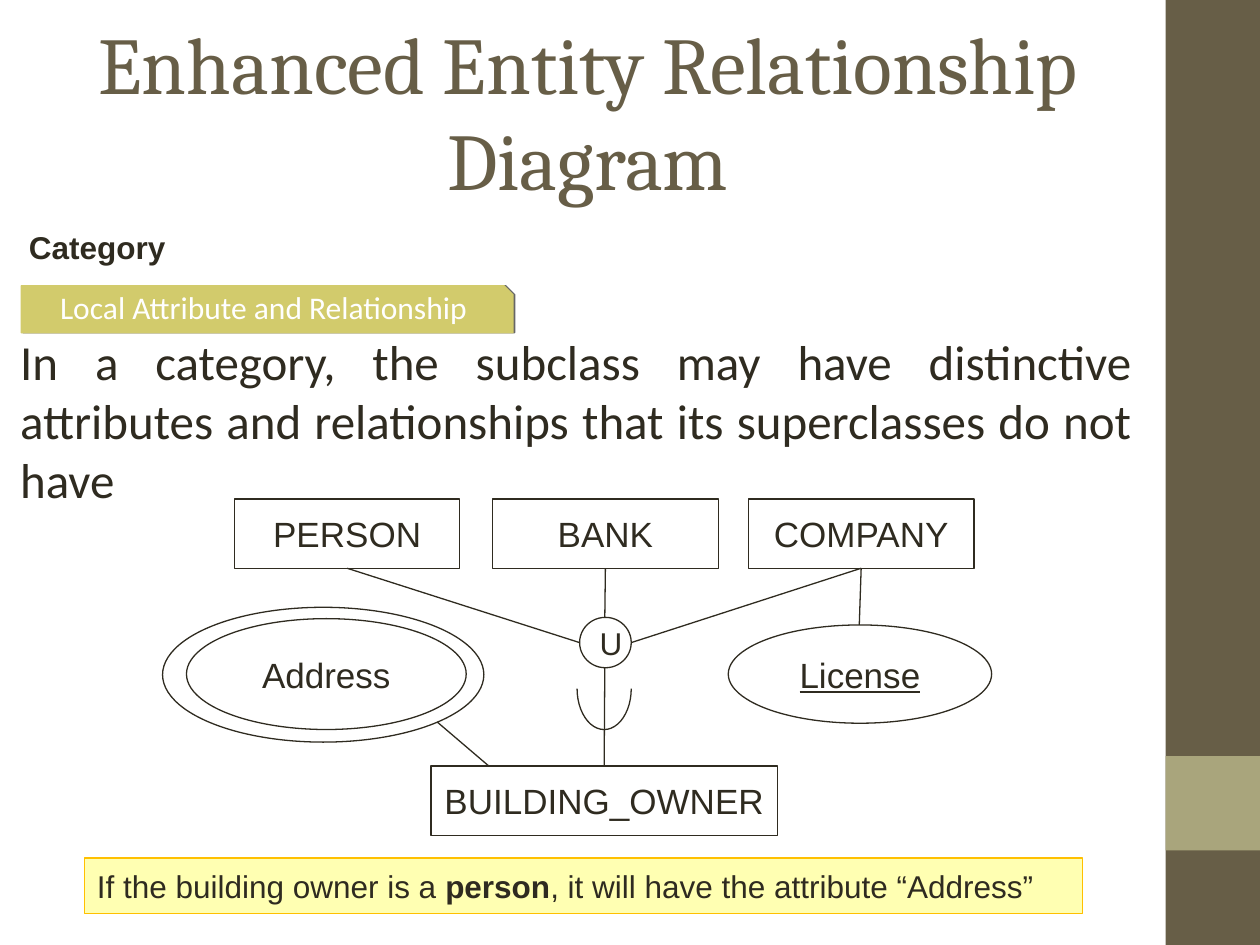
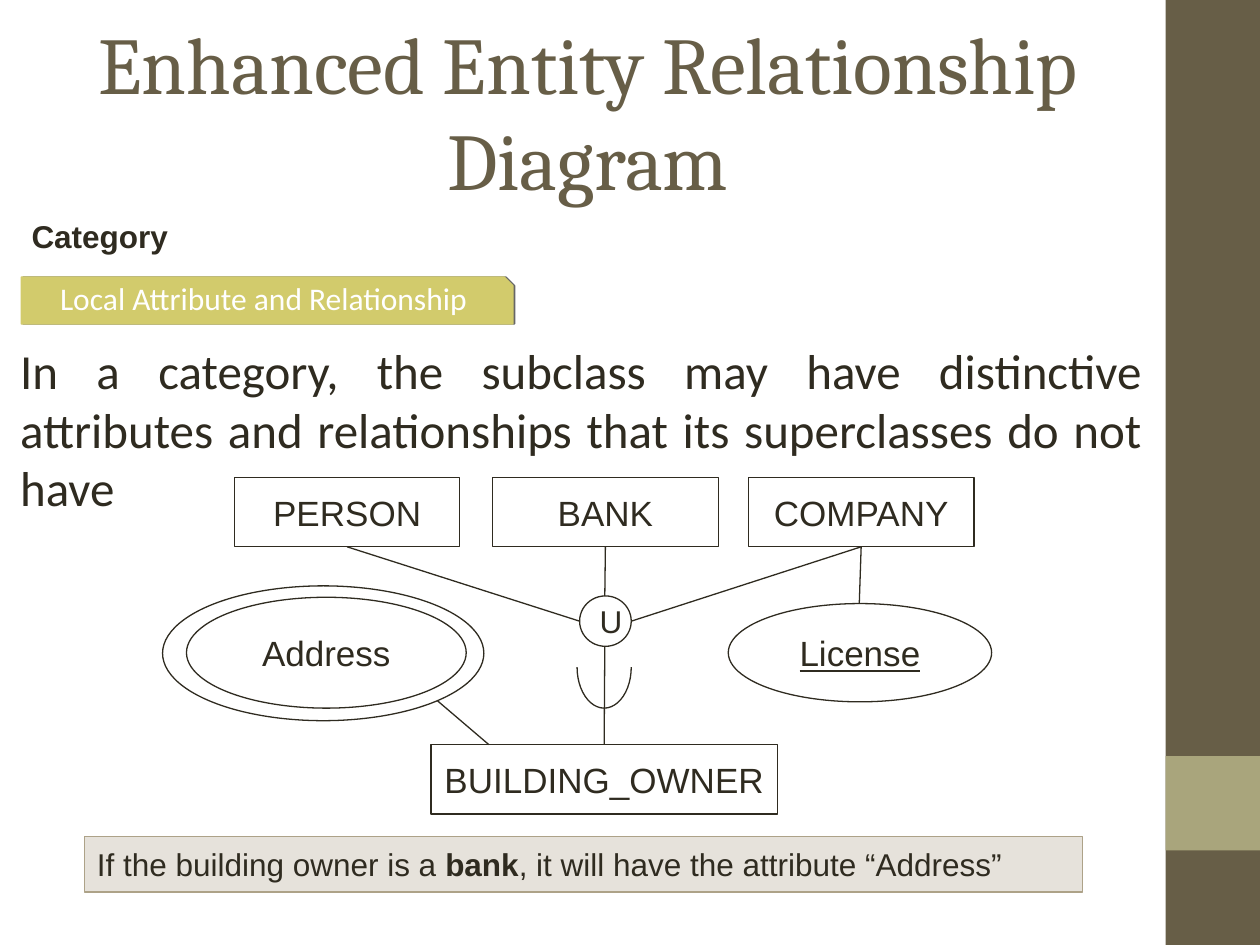
from dataclasses import dataclass
from typing import Optional

from lxml.etree import SubElement
from pptx import Presentation
from pptx.dml.color import RGBColor
from pptx.enum.shapes import MSO_CONNECTOR as Connector, MSO_SHAPE as Preset
from pptx.enum.text import MSO_ANCHOR as Anchor, MSO_AUTO_SIZE as AutoSize, PP_ALIGN as Align
from pptx.oxml.ns import qn
from pptx.util import Pt

PX = 9144


@dataclass(frozen=True)
class Theme:
    heading: str = "675E47"
    accent: str = "A9A57C"
    ink: str = "2F2B20"
    badge: str = "D2CB6C"
    white: str = "FFFFFF"
    title_font: str = "Cambria"
    body_font: str = "Calibri"
    label_font: str = "Arial"
    title_size: int = 46
    body_size: int = 28
    entity_size: int = 20
    small_size: int = 18
    hairline: float = 0.75


THEME = Theme()


@dataclass(frozen=True)
class Box:
    left: int
    top: int
    width: int
    height: int

    def emu(self) -> tuple:
        return tuple(value * PX for value in (self.left, self.top, self.width, self.height))


@dataclass(frozen=True)
class Style:
    font: str
    size: int
    color: str
    bold: bool = False
    underline: bool = False


@dataclass(frozen=True)
class Node:
    name: str
    preset: Preset
    box: Box
    size: int = THEME.entity_size
    align: Align = Align.CENTER
    wrap: bool = False
    underline: bool = False
    fill: Optional[str] = None


@dataclass(frozen=True)
class Link:
    start: tuple
    end: tuple
    start_node: str = ""
    end_node: str = ""


@dataclass(frozen=True)
class Page:
    category_left: int
    category_top: int
    badge_top: int
    body: Box
    lift: int
    owner: str
    note_fill: str
    note_line: str


TITLE = "Enhanced Entity Relationship Diagram"
CATEGORY = "Category"
BADGE = "Local Attribute and Relationship "
BODY = ("In a category, the subclass may have distinctive attributes and "
        "relationships that its superclasses do not have")

BANDS = ((Box(925, 0, 75, 750), THEME.heading), (Box(925, 600, 75, 75), THEME.accent))

NODES = (
    Node("Address", Preset.OVAL, Box(148, 491, 222, 88)),
    Node("", Preset.OVAL, Box(129, 482, 255, 107)),
    Node("BUILDING_OWNER", Preset.RECTANGLE, Box(342, 608, 275, 55)),
    Node("PERSON", Preset.RECTANGLE, Box(186, 396, 179, 55)),
    Node("COMPANY", Preset.RECTANGLE, Box(594, 396, 179, 55)),
    Node("BANK", Preset.RECTANGLE, Box(391, 396, 179, 55)),
    Node("U", Preset.OVAL, Box(460, 490, 41, 40), THEME.small_size, Align.LEFT,
         wrap=True, fill=THEME.white),
    Node("License", Preset.OVAL, Box(578, 496, 209, 78), underline=True),
)

LINKS = (
    Link((388, 608), (347, 573)),
    Link((480, 451), (480, 490), start_node="BANK"),
    Link((480, 530), (479, 608), end_node="BUILDING_OWNER"),
    Link((460, 510), (276, 451), end_node="PERSON"),
    Link((683, 451), (501, 510), start_node="COMPANY"),
    Link((683, 451), (682, 496), start_node="COMPANY"),
)

PAGES = (
    Page(15, 186, 227, Box(6, 258, 902, 118), 0, "person", "FFFF00", "FFC000"),
    Page(17, 177, 220, Box(6, 265, 910, 118), 17, "bank", "ADA288", "ADA288"),
)


def add_run(paragraph, text: str, style: Style) -> None:
    run = paragraph.add_run()
    run.text = text
    font = run.font
    font.name, font.size = style.font, Pt(style.size)
    font.bold, font.underline = style.bold, style.underline
    font.color.rgb = RGBColor.from_string(style.color)


def start_text(shape, align: Align, anchor: Anchor = Anchor.MIDDLE, wrap: bool = True):
    frame = shape.text_frame
    frame.word_wrap = wrap
    frame.auto_size = AutoSize.NONE
    frame.vertical_anchor = anchor
    paragraph = frame.paragraphs[0]
    paragraph.alignment = align
    return paragraph


def paint(shape, fill: Optional[str], line: Optional[str], width: float = THEME.hairline,
          opacity: int = 100) -> None:
    if fill:
        shape.fill.solid()
        shape.fill.fore_color.rgb = RGBColor.from_string(fill)
        if opacity < 100:
            color = shape.element.spPr.find(f"{qn('a:solidFill')}/{qn('a:srgbClr')}")
            SubElement(color, qn("a:alpha"), val=str(opacity * 1000))
    else:
        shape.fill.background()
    if line:
        shape.line.color.rgb = RGBColor.from_string(line)
        shape.line.width = Pt(width)
    else:
        shape.line.fill.background()
    shape.shadow.inherit = False


def place(placeholder, box: Box) -> None:
    placeholder.left, placeholder.top, placeholder.width, placeholder.height = box.emu()


def add_headings(slide, page: Page) -> None:
    title, body = slide.placeholders[0], slide.placeholders[1]
    place(title, Box(50, 25, 833, 125))
    add_run(start_text(title, Align.CENTER), TITLE,
            Style(THEME.title_font, THEME.title_size, THEME.heading))

    category = slide.shapes.add_textbox(*Box(page.category_left, page.category_top, 142, 35).emu())
    frame = category.text_frame
    frame.margin_left = frame.margin_right = 8 * PX
    frame.margin_top = frame.margin_bottom = 0
    paragraph = start_text(category, Align.LEFT, Anchor.TOP)
    paragraph.line_spacing = Pt(18)
    add_run(paragraph, CATEGORY, Style(THEME.label_font, THEME.small_size, THEME.ink, bold=True))

    add_badge(slide, page.badge_top)

    place(body, page.body)
    paragraph = start_text(body, Align.JUSTIFY, Anchor.TOP)
    properties = paragraph._p.get_or_add_pPr()
    properties.set("marL", "0")
    properties.set("indent", "0")
    SubElement(properties, qn("a:buNone"))
    paragraph.space_before = Pt(0)
    add_run(paragraph, BODY, Style(THEME.body_font, THEME.body_size, THEME.ink))


def add_badge(slide, top: int) -> None:
    left, right, bottom, snip = 17, 407, top + 37, 7
    builder = slide.shapes.build_freeform(left, top, scale=PX)
    builder.add_line_segments(((right - snip, top), (right, top + snip),
                               (right, bottom), (left, bottom)))
    badge = builder.convert_to_shape()
    paint(badge, THEME.badge, THEME.badge, 1)
    effects = badge.element.spPr.find(qn("a:effectLst"))
    shadow = SubElement(effects, qn("a:outerShdw"), dist="12700", dir="0")
    color = SubElement(shadow, qn("a:srgbClr"), val="000000")
    SubElement(color, qn("a:alpha"), val="60000")
    paragraph = start_text(badge, Align.CENTER)
    paragraph.line_spacing = 0.9
    add_run(paragraph, BADGE, Style(THEME.body_font, THEME.small_size, THEME.white))


def add_preset(slide, preset: Preset, box: Box, lift: int = 0):
    return slide.shapes.add_shape(preset, *Box(box.left, box.top - lift, box.width, box.height).emu())


def add_node(slide, node: Node, lift: int):
    shape = add_preset(slide, node.preset, node.box, lift)
    paint(shape, node.fill, THEME.ink)
    if node.name:
        add_run(start_text(shape, node.align, wrap=node.wrap), node.name,
                Style(THEME.label_font, node.size, THEME.ink, underline=node.underline))
    return shape


def add_link(slide, link: Link, shapes: dict, lift: int) -> None:
    (start_x, start_y), (end_x, end_y) = link.start, link.end
    connector = slide.shapes.add_connector(
        Connector.STRAIGHT, start_x * PX, (start_y - lift) * PX, end_x * PX, (end_y - lift) * PX)
    if link.start_node:
        connector.begin_connect(shapes[link.start_node], 2)
    if link.end_node:
        site = 0 if link.end_node == "BUILDING_OWNER" else 2
        connector.end_connect(shapes[link.end_node], site)
    connector.line.color.rgb = RGBColor.from_string(THEME.ink)
    connector.line.width = Pt(THEME.hairline)
    SubElement(connector.element.spPr, qn("a:effectLst"))


def add_diagram(slide, lift: int) -> None:
    union_arc = add_preset(slide, Preset.ARC, Box(447, 525, 65, 43), lift)
    union_arc.adjustments[1] = 54
    union_arc.rotation = 90
    paint(union_arc, None, THEME.ink)
    shapes = {node.name: add_node(slide, node, lift) for node in NODES}
    for link in LINKS:
        add_link(slide, link, shapes, lift)


def add_note(slide, page: Page) -> None:
    note = add_preset(slide, Preset.RECTANGLE, Box(67, 681, 792, 44), page.lift)
    paint(note, page.note_fill, page.note_line, opacity=30)
    paragraph = start_text(note, Align.LEFT)
    plain = Style(THEME.label_font, THEME.small_size, THEME.ink)
    strong = Style(THEME.label_font, THEME.small_size, THEME.ink, bold=True)
    add_run(paragraph, "If the building owner is a ", plain)
    add_run(paragraph, page.owner, strong)
    add_run(paragraph, ", it will have the attribute “Address”", plain)


def main() -> None:
    presentation = Presentation()
    presentation.slide_width, presentation.slide_height = 1000 * PX, 750 * PX
    for page in PAGES:
        slide = presentation.slides.add_slide(presentation.slide_layouts[1])
        for box, color in BANDS:
            paint(add_preset(slide, Preset.RECTANGLE, box), color, None)
        add_headings(slide, page)
        add_diagram(slide, page.lift)
        add_note(slide, page)
    presentation.save("out.pptx")


if __name__ == "__main__":
    main()
